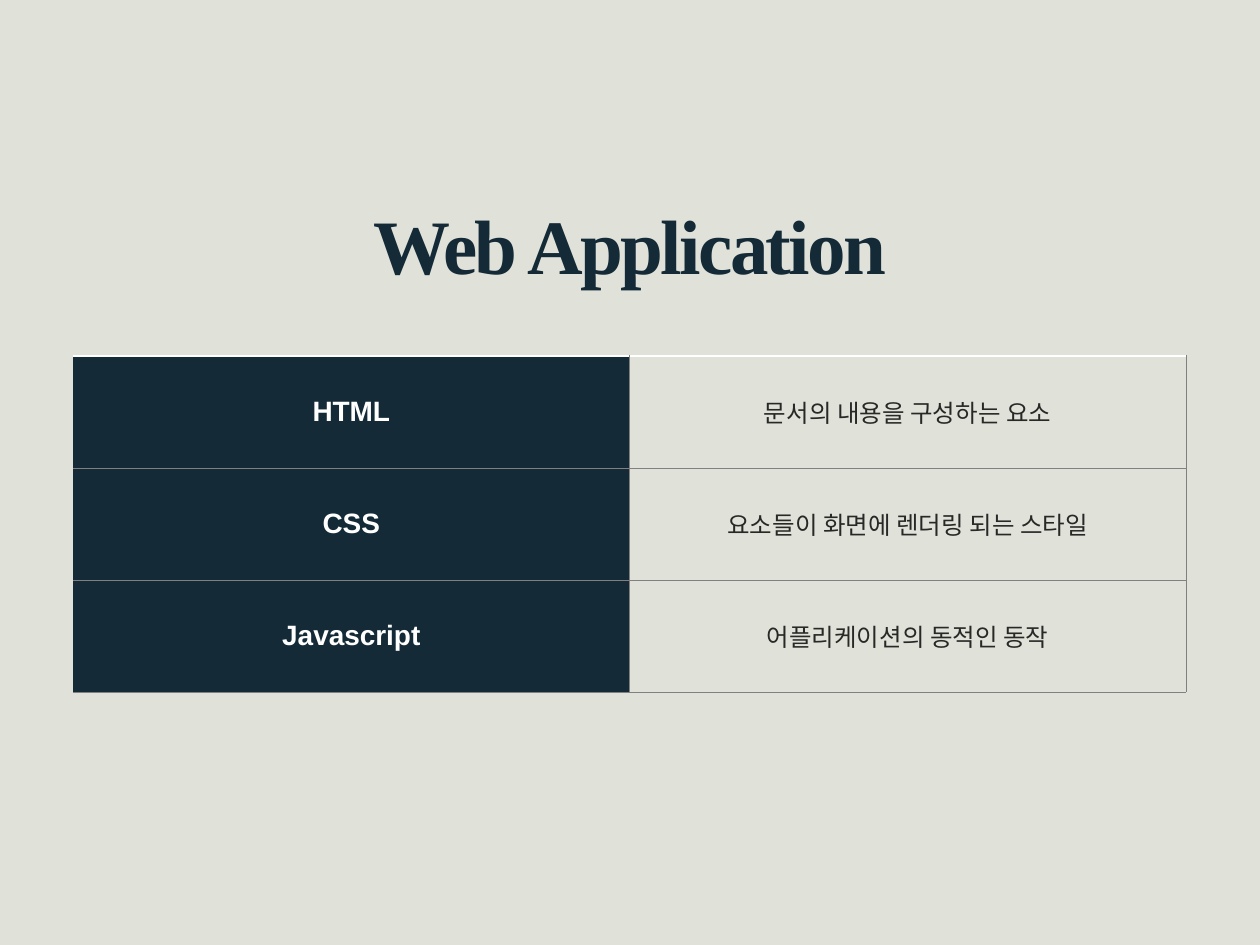
from lxml.etree import SubElement
from pptx import Presentation
from pptx.dml.color import RGBColor
from pptx.enum.text import MSO_ANCHOR as Anchor, PP_ALIGN as Align
from pptx.oxml.ns import qn
from pptx.util import Pt

HEADING = "Web Application"
TECHNOLOGIES = [
    ("HTML", "문서의 내용을 구성하는 요소"),
    ("CSS", "요소들이 화면에 렌더링 되는 스타일"),
    ("Javascript", "어플리케이션의 동적인 동작"),
]

THEME = {
    "background": "E0E2DA",
    "navy": "142A37",
    "grid": ("808080", 0.5),
    "top rule": ("FFFFFF", 1.5),
    "heading": {"name": "Times New Roman", "size": Pt(44), "bold": True, "color": "142A37"},
    "term": {"name": "Arial", "size": Pt(16), "bold": True, "color": "FFFFFF"},
    "meaning": {"name": "Arial", "size": Pt(14), "bold": False, "color": "282826"},
}

SLIDE_W, SLIDE_H = 720, 540
TABLE_TOP, TABLE_W, ROW_H = 203.5, 636, 64
TABLE_LEFT = (SLIDE_W - TABLE_W) / 2 - 0.25
HEADING_TOP, HEADING_W, HEADING_H = 108, 321, 62


def write(frame, text, style):
    """Put one centred, middle-anchored line of text in a frame or cell."""
    frame.vertical_anchor = Anchor.MIDDLE
    paragraph = getattr(frame, "text_frame", frame).paragraphs[0]
    paragraph.alignment = Align.CENTER
    run = paragraph.add_run()
    run.text = text
    for key, value in style.items():
        if key == "color":
            run.font.color.rgb = RGBColor.from_string(value)
        else:
            setattr(run.font, key, value)
    return run


def set_borders(cell, borders):
    """Draw (colour, width) borders in schema order; None hides a side."""
    properties = cell._tc.get_or_add_tcPr()
    for index, side in enumerate("LRTB"):
        border = SubElement(properties, qn(f"a:ln{side}"))
        properties.insert(index, border)
        if borders[side] is None:
            SubElement(border, qn("a:noFill"))
            continue
        color, width = borders[side]
        border.set("w", str(int(Pt(width))))
        fill = SubElement(border, qn("a:solidFill"))
        SubElement(fill, qn("a:srgbClr")).set("val", color)


def add_heading(slide):
    title = slide.shapes.title
    title.left, title.top = Pt((SLIDE_W - HEADING_W) / 2), Pt(HEADING_TOP)
    title.width, title.height = Pt(HEADING_W), Pt(HEADING_H)
    title.text_frame.word_wrap = False
    run = write(title.text_frame, HEADING, THEME["heading"])
    run.font._element.set("spc", "-150")


def add_technology_table(slide):
    rows, columns = len(TECHNOLOGIES), len(TECHNOLOGIES[0])
    table = slide.shapes.add_table(
        rows, columns, Pt(TABLE_LEFT), Pt(TABLE_TOP), Pt(TABLE_W), Pt(ROW_H * rows)
    ).table
    table.first_row = table.horz_banding = False
    grid = THEME["grid"]
    for row, entry in enumerate(TECHNOLOGIES):
        for column, text in enumerate(entry):
            cell = table.cell(row, column)
            is_term = column == 0
            write(cell, text, THEME["term" if is_term else "meaning"])
            if is_term:
                cell.fill.solid()
                cell.fill.fore_color.rgb = RGBColor.from_string(THEME["navy"])
            else:
                cell.fill.background()
            set_borders(cell, {
                "L": None if is_term else grid,
                "R": grid,
                "T": THEME["top rule"] if row == 0 else grid,
                "B": grid,
            })


def main():
    deck = Presentation()
    deck.slide_width, deck.slide_height = Pt(SLIDE_W), Pt(SLIDE_H)
    slide = deck.slides.add_slide(deck.slide_layouts.get_by_name("Title Only"))
    slide.background.fill.solid()
    slide.background.fill.fore_color.rgb = RGBColor.from_string(THEME["background"])
    add_technology_table(slide)
    add_heading(slide)
    deck.save("out.pptx")


if __name__ == "__main__":
    main()
